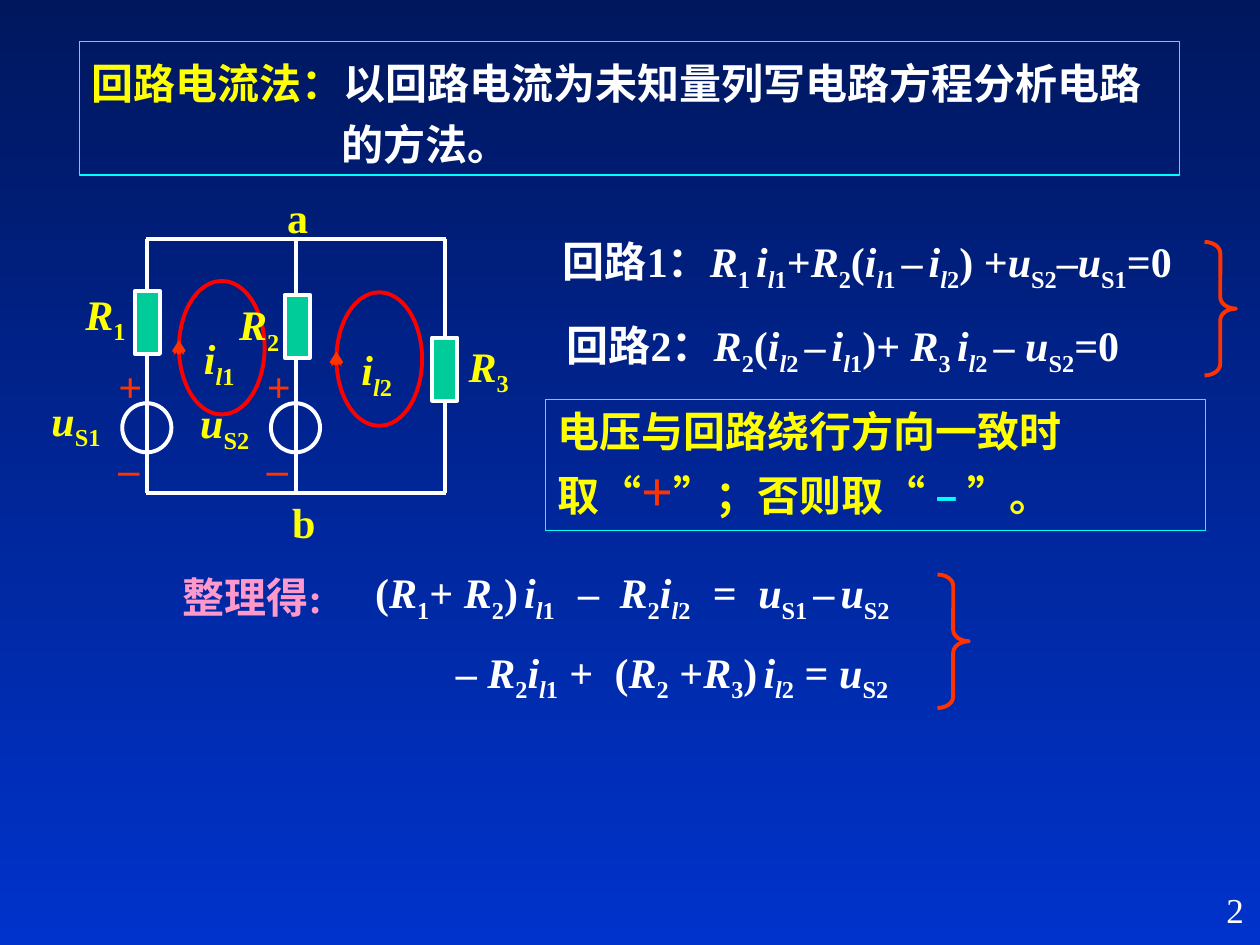
import pptx
import pptx.util
import pptx.dml.color
import pptx.enum.shapes
import pptx.enum.text
from lxml import etree
from pptx.util import Inches, Pt

HUES = {
    "top": "00175E", "base": "0033CC", "white": "FFFFFF", "yellow": "FFFF00",
    "cyan": "00FFFF", "red": "FF0000", "orange": "FF3300", "pink": "FF99CC",
    "green": "00CC99",
}
FONT = "Times New Roman"
KIND = pptx.enum.shapes.MSO_SHAPE
ALIGN = pptx.enum.text.PP_ALIGN
# Mark-up for formulas: {italic} [subscript] <italic subscript>
OPEN = {"{": (True, False), "[": (False, True), "<": (True, True)}
CLOSE = "}]>"


def hue(name):
    return pptx.dml.color.RGBColor.from_string(HUES[name])


def split(src):
    """Yield (text, italic, subscript) pieces of a marked-up string."""
    part, mode = "", (False, False)
    for char in src:
        if char in OPEN or char in CLOSE:
            if part:
                yield part, *mode
            part, mode = "", OPEN.get(char, (False, False))
        else:
            part += char
    if part:
        yield part, *mode


def set_tabs(para, stops):
    props = para._p.get_or_add_pPr()
    tabs = etree.SubElement(props, pptx.oxml.ns.qn("a:tabLst"))
    for stop in stops:
        etree.SubElement(tabs, pptx.oxml.ns.qn("a:tab"),
                         pos=str(Inches(stop)), algn="l")


def write(slide, box, text, color="yellow", size=24, bold=True, align=ALIGN.LEFT,
          wrap=True, border=None, space=None, hang=0, tabs=()):
    """Add a text box; text is a string or a list of (string, color, size)."""
    shape = slide.shapes.add_textbox(*map(Inches, box))
    if border:
        shape.line.color.rgb = hue(border)
        shape.line.width = Pt(0.75)
    frame = shape.text_frame
    frame.word_wrap = wrap
    para = frame.paragraphs[0]
    para.alignment = align
    if space:
        para.line_spacing = space
    if hang:
        props = para._p.get_or_add_pPr()
        props.set("marL", str(Inches(hang)))
        props.set("indent", str(-Inches(hang)))
    if tabs:
        set_tabs(para, tabs)
    runs = [(text, color, size)] if isinstance(text, str) else text
    for src, tone, points in runs:
        for part, italic, sub in split(src):
            run = para.add_run()
            run.text = part
            font = run.font
            font.name, font.size = FONT, Pt(points)
            font.bold, font.italic = bold, italic
            font.color.rgb = hue(tone)
            if sub:
                font._element.set("baseline", "-25000")


def draw(slide, kind, box, line, fill=None):
    shape = slide.shapes.add_shape(kind, *map(Inches, box))
    shape.shadow.inherit = False
    if fill:
        shape.fill.solid()
        shape.fill.fore_color.rgb = hue(fill)
    else:
        shape.fill.background()
    shape.line.color.rgb = hue(line)
    shape.line.width = Pt(2.25)
    return shape


def wire(slide, start, end, color="white", head=None):
    link = slide.shapes.add_connector(
        pptx.enum.shapes.MSO_CONNECTOR.STRAIGHT, *map(Inches, start + end))
    link.line.color.rgb = hue(color)
    link.line.width = Pt(2.25)
    if head:
        etree.SubElement(link.line._get_or_add_ln(),
                         pptx.oxml.ns.qn("a:tailEnd"), type=head)
    etree.SubElement(link._element.spPr, pptx.oxml.ns.qn("a:effectLst"))


def brace(slide, left, top):
    shape = draw(slide, KIND.RIGHT_BRACE, (left, top, 0.25, 1.06), "orange")
    shape.adjustments[0] = 0.36


def loop(slide, left, top, num):
    """Loop current with an upward arrow on its left side."""
    draw(slide, KIND.OVAL, (left, top, 0.68, 1.06), "red")
    write(slide, (left + 0.1, top + 0.36, 0.49, 0.56), f"{{i}}<l>[{num}]")
    wire(slide, (left, top + 0.55), (left, top + 0.5), "red", "stealth")
    wire(slide, (left, top + 0.58), (left, top + 0.47), "orange", "arrow")


def source(slide, left, top):
    """Voltage source with its plus and minus signs."""
    draw(slide, KIND.OVAL, (left, top, 0.39, 0.39), "white")
    for sign, drop in (("+", -0.39), ("–", 0.26)):
        write(slide, (left - 0.13, top + drop, 0.39, 0.5), sign, "orange")


def circuit(slide):
    loop(slide, 1.42, 2.23, 1)
    loop(slide, 2.67, 2.32, 2)
    for x in (1.17, 2.35, 3.53):
        wire(slide, (x, 1.9), (x, 3.91))
    for y in (1.9, 3.91):
        wire(slide, (1.16, y), (3.54, y))
    for left, top in ((1.07, 2.31), (2.26, 2.34), (3.43, 2.68)):
        draw(slide, KIND.RECTANGLE, (left, top, 0.2, 0.5), "white", "green")
    for left in (0.97, 2.15):
        source(slide, left, 3.2)
    for left, top, text in (
            (0.58, 2.24, "{R}[1]"), (1.8, 2.32, "{R}[2]"), (3.62, 2.65, "{R}[3]"),
            (0.31, 3.08, "{u}[S1]"), (1.49, 3.1, "{u}[S2]")):
        write(slide, (left, top, 0.72, 0.56), text)
    write(slide, (2.18, 1.47, 0.36, 0.5), "a", wrap=False)
    write(slide, (2.22, 3.89, 0.38, 0.5), "b", wrap=False)


def loops(slide):
    """Loop equations and the sign rule."""
    write(slide, (4.37, 1.82, 5.33, 0.56),
          "回路1：{R}[1 ]{i}<l>[1]+{R}[2]({i}<l>[1 ]–[ ]{i}<l>[2]) +{u}[S2]–{u}[S1]=0",
          "white")
    write(slide, (4.4, 2.49, 4.96, 0.56),
          "回路2：{R}[2]({i}<l>[2 ]–[ ]{i}<l>[1])+ {R}[3 ]{i}<l>[2 ]– {u}[S2]=0",
          "white")
    brace(slide, 9.56, 1.92)
    write(slide, (4.33, 3.17, 5.24, 1.04), [
        ("电压与回路绕行方向一致时取“", "yellow", 24), ("+", "orange", 32),
        ("”；否则取“ ", "yellow", 24), ("–", "cyan", 24), (" ”。", "yellow", 24),
    ], border="cyan")


def result(slide):
    write(slide, (1.35, 4.49, 1.56, 0.5), "整理得:", "pink")
    write(slide, (2.88, 4.45, 4.6, 0.56),
          "({R}[1]+ {R}[2])[ ]{i}<l>[1]\t–\t{R}[2]{i}<l>[2]\t=\t{u}[S1 ]–[ ]{u}[S2]",
          "white", tabs=(1.61, 1.94, 2.68, 3.04))
    write(slide, (3.52, 5.08, 3.84, 0.56),
          "–{ R}[2]{i}<l>[1]\t+\t({R}[2] +{R}[3])[ ]{i}<l>[2] = {u}[S2]",
          "white", tabs=(0.9, 1.26))
    brace(slide, 7.44, 4.56)


def main():
    deck = pptx.Presentation()
    deck.slide_width, deck.slide_height = Inches(10), Inches(7.5)
    slide = deck.slides.add_slide(deck.slide_layouts[6])
    fill = slide.background.fill
    fill.gradient()
    fill.gradient_angle = 270
    for stop, name in zip(fill.gradient_stops, ("top", "base")):
        stop.color.rgb = hue(name)
    write(slide, (0.63, 0.33, 8.73, 1.06), [
        ("回路电流法：", "yellow", 24),
        ("以回路电流为未知量列写电路方程分析电路的方法。", "white", 24),
    ], border="cyan", space=1.2, hang=1.98)
    loops(slide)
    result(slide)
    circuit(slide)
    write(slide, (7.89, 7, 2.08, 0.5), "2", "white", 20, bold=False,
          align=ALIGN.RIGHT)
    deck.save("out.pptx")


if __name__ == "__main__":
    main()
